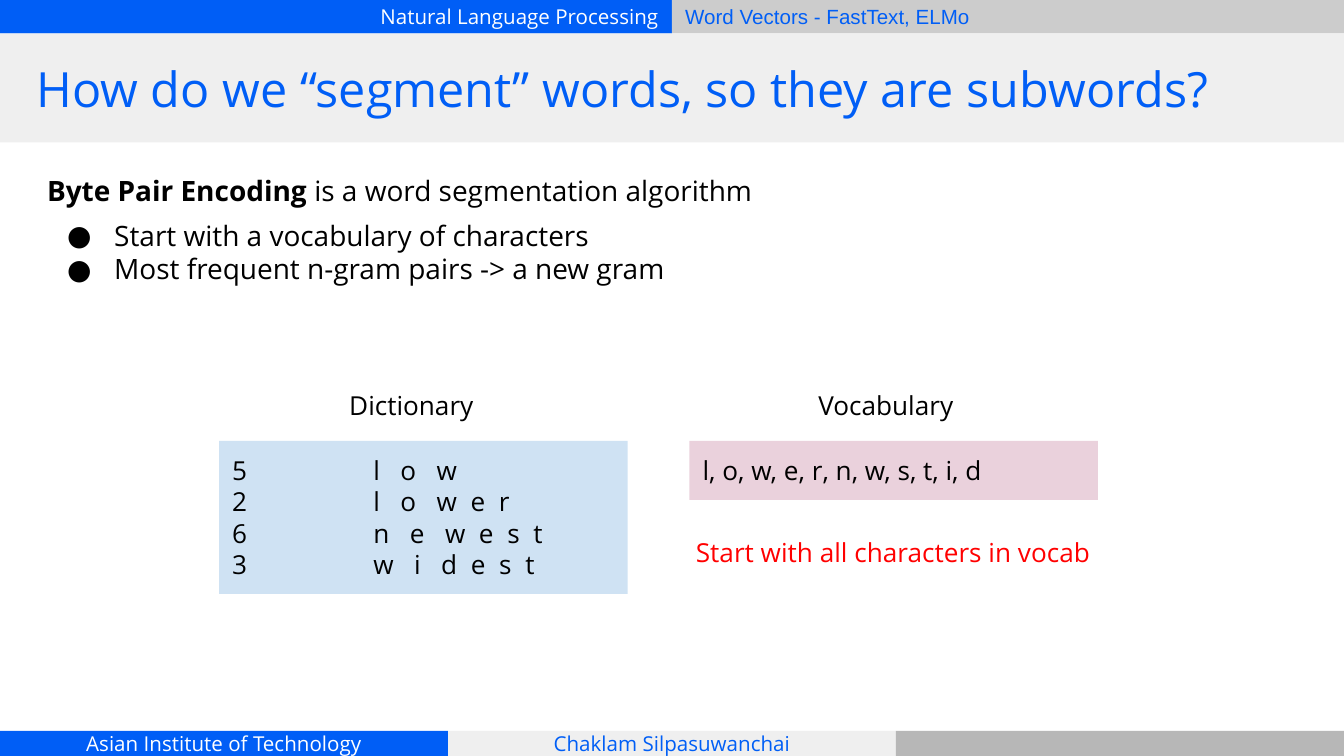
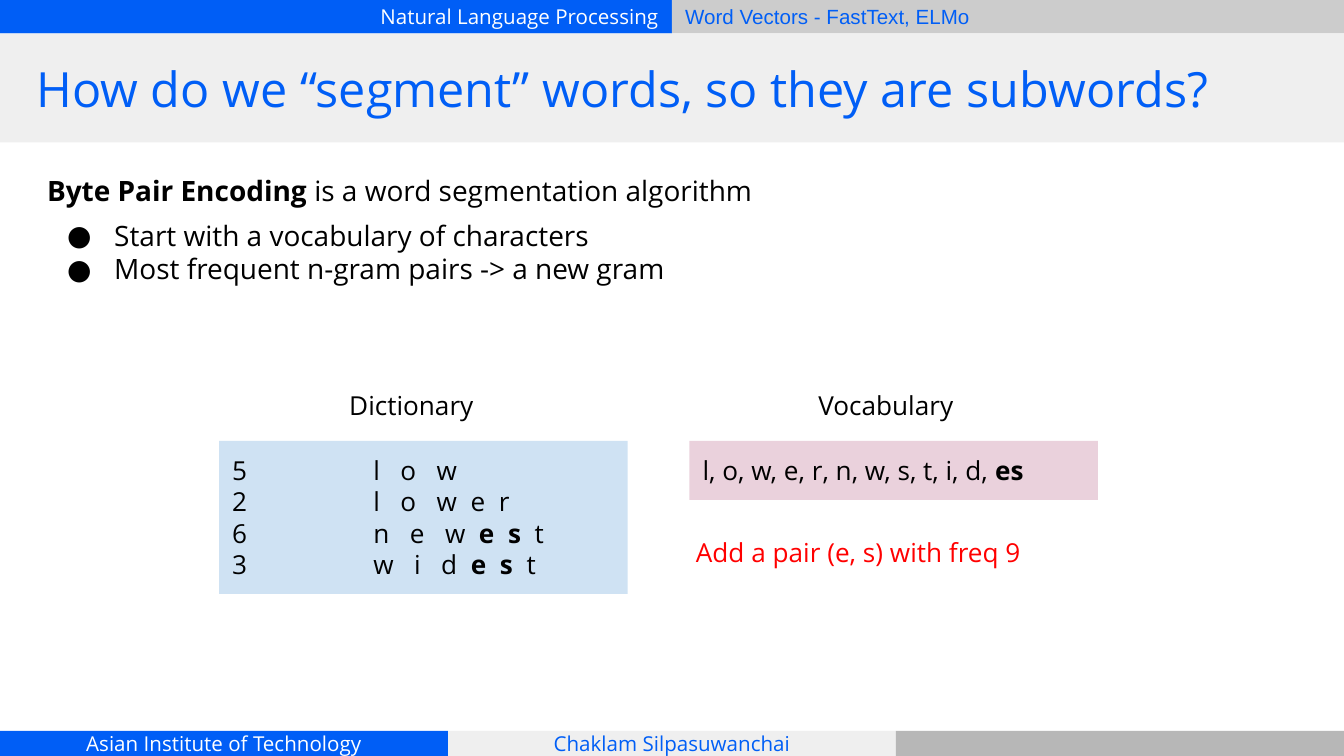
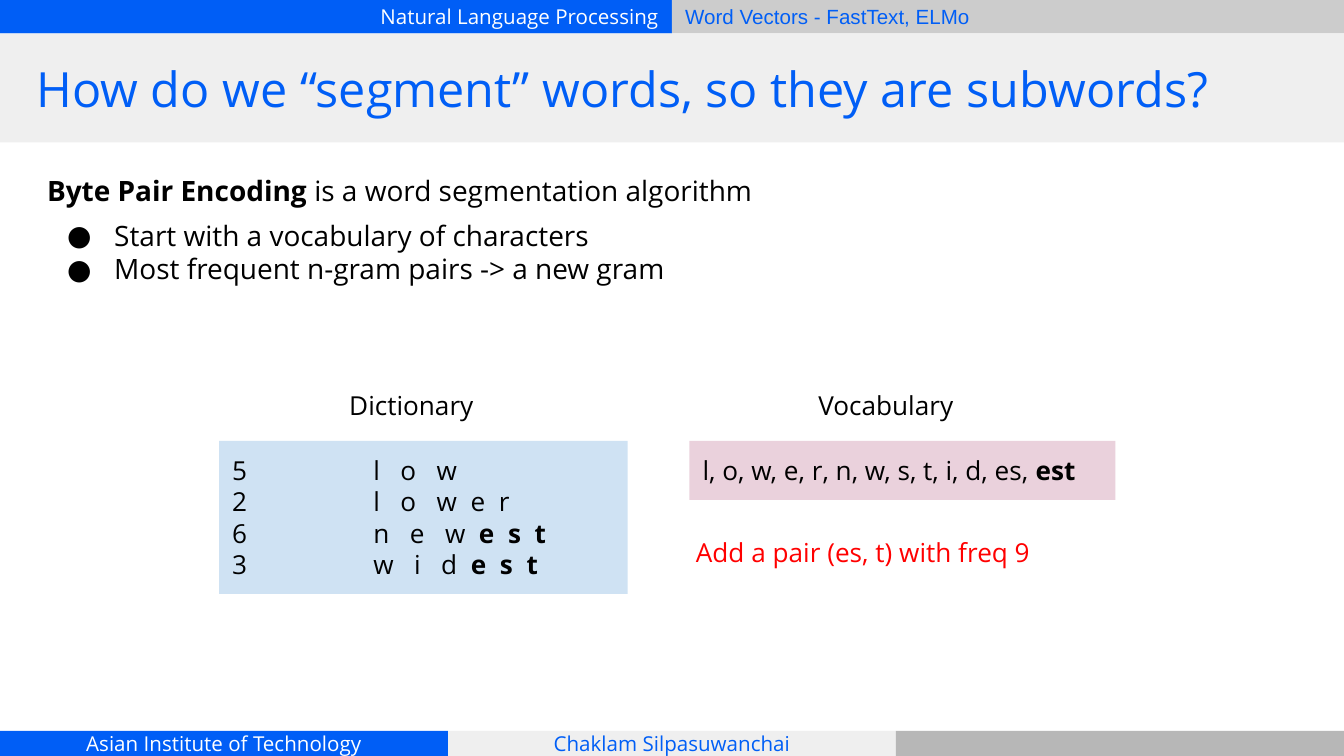
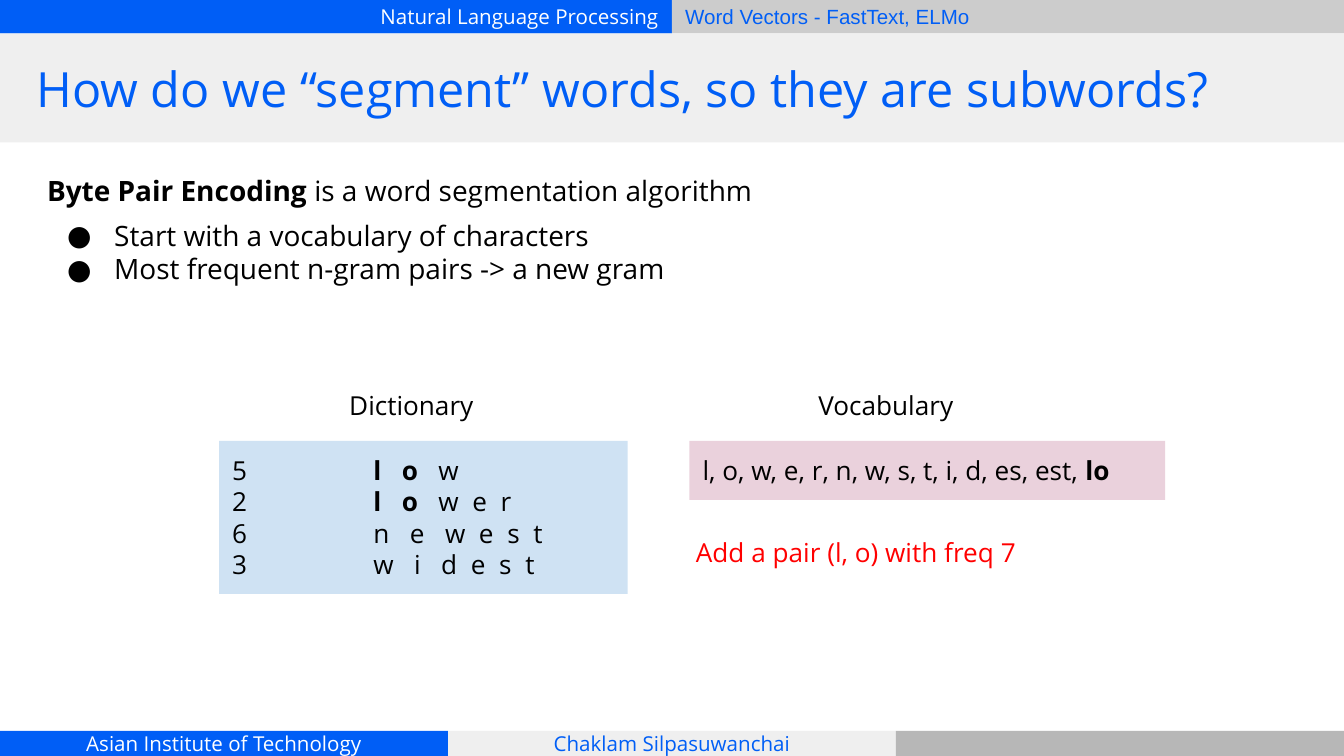
from lxml import etree
from pptx import Presentation
from pptx.dml.color import RGBColor
from pptx.enum.shapes import MSO_SHAPE
from pptx.enum.text import MSO_ANCHOR, MSO_AUTO_SIZE, PP_ALIGN
from pptx.oxml.ns import qn
from pptx.util import Inches, Pt

RECT = MSO_SHAPE.RECTANGLE
TOP, MID = MSO_ANCHOR.TOP, MSO_ANCHOR.MIDDLE
FIXED, GROW = MSO_AUTO_SIZE.NONE, MSO_AUTO_SIZE.SHAPE_TO_FIT_TEXT
LEFT, CENTER, RIGHT = PP_ALIGN.LEFT, PP_ALIGN.CENTER, PP_ALIGN.RIGHT

BLUE, WHITE, BLACK, RED = "005EF6", "FFFFFF", "000000", "FF0000"
PALE, SILVER, GRAY = "EFEFEF", "CCCCCC", "B7B7B7"
SKY, ROSE = "CFE2F3", "EAD1DC"
FONT = "Open Sans"
PAD = Inches(0.1)
HEAD, FOOT, THIRD = 4.44, 3.33, 100 / 3
LINE, BOX_TOP = 7.82, 58.31

TITLE = "How do we “segment” words, so they are subwords?"
POINTS = ["Start with a vocabulary of characters",
          "Most frequent n-gram pairs -> a new gram"]
COUNTS = {"low": 5, "lower": 2, "newest": 6, "widest": 3}
CHARS = list("lowernwstid")
STEPS = [
    ("", "Start with all characters in vocab", 30.4),
    ("es", "Add a pair (e, s) with freq 9", 30.4),
    ("est", "Add a pair (es, t) with freq 9", 31.7),
    ("lo", "Add a pair (l, o) with freq 7", 35.4),
]


def color(code):
    """Turn a hex string into a colour."""
    return RGBColor.from_string(code)


def child(node, tag, **attrs):
    """Append a drawing element with the given attributes."""
    return etree.SubElement(node, qn("a:" + tag), attrs)


def write(shape, *lines, size=14, ink=BLACK, font=FONT, align=LEFT,
          anchor=TOP, fit=FIXED):
    """Fill a shape with lines, each a string or a list of (text, bold, gap)."""
    frame = shape.text_frame
    frame.word_wrap, frame.auto_size = True, fit
    frame.vertical_anchor = anchor
    frame.margin_left = frame.margin_right = PAD
    frame.margin_top = frame.margin_bottom = PAD
    for n, line in enumerate(lines):
        para = frame.add_paragraph() if n else frame.paragraphs[0]
        para.alignment, para.space_before = align, Pt(0)
        parts = [(line, False, 0)] if isinstance(line, str) else line
        for text, bold, gap in parts:
            run = para.add_run()
            run.text = text
            run.font.name, run.font.size = font, Pt(size)
            run.font.bold = bold
            run.font.color.rgb = color(ink)
            if gap:
                run.font._element.set("spc", str(gap))
    return frame.paragraphs


def spell(count, word, pair):
    """Give the runs of a count and its spaced letters, with the pair bold."""
    start = word.find(pair) if pair else -1
    last = start + len(pair) - 1 if start >= 0 else -1
    runs = [(f"{count}\t", False, 0)]
    for n, char in enumerate(word):
        if n:
            runs.append((" ", start < n <= last, 728 if n < 3 else 364))
        runs.append((char, start <= n <= last, 0))
    return runs


class Deck:
    """Hold the style and the current slide; places are percents of the slide."""

    def __init__(self):
        """Start a wide deck and put the shared bands on its layout."""
        self.show = Presentation()
        self.show.slide_width = Inches(10)
        self.show.slide_height = Inches(5.625)
        self.plan = self.show.slide_layouts[1]
        for spot in list(self.plan.placeholders)[2:]:
            spot.element.getparent().remove(spot.element)
        self.slide = None

    def area(self, x, y, wide, high):
        """Turn percents into lengths."""
        full, tall = self.show.slide_width, self.show.slide_height
        return [round(part * side / 100) for part, side in
                ((x, full), (y, tall), (wide, full), (high, tall))]

    def page(self):
        """Add a slide, and draw the bands along with the first."""
        first = self.slide is None
        self.slide = self.show.slides.add_slide(self.plan)
        if first:
            self.bands()

    def block(self, fill, *place):
        """Add a plain filled rectangle."""
        shape = self.slide.shapes.add_shape(RECT, *self.area(*place))
        shape.shadow.inherit = False
        shape.fill.solid()
        shape.fill.fore_color.rgb = color(fill)
        shape.line.fill.background()
        return shape

    def label(self, text, *place, **style):
        """Add a text box."""
        box = self.slide.shapes.add_textbox(*self.area(*place))
        write(box, text, fit=GROW, **style)

    def bands(self):
        """Draw the header, footer and title bands and move them to the layout."""
        foot = 100 - FOOT
        rows = [
            (BLUE, 0, 0, 50, HEAD, "Natural Language Processing", WHITE, RIGHT, FONT),
            (SILVER, 50, 0, 50, HEAD, "Word Vectors - FastText, ELMo", BLUE, LEFT, "Arial"),
            (BLUE, 0, foot, THIRD, FOOT, "Asian Institute of Technology", WHITE, CENTER, FONT),
            (PALE, THIRD, foot, THIRD, FOOT, "Chaklam Silpasuwanchai", BLUE, CENTER, FONT),
            (GRAY, 2 * THIRD, foot, THIRD, FOOT, "", BLUE, CENTER, FONT),
            (PALE, 0, HEAD, 100, 14.4, "", BLUE, LEFT, FONT),
        ]
        for n, (fill, x, y, wide, high, text, ink, align, font) in enumerate(rows):
            band = self.block(fill, x, y, wide, high)
            if text:
                write(band, text, size=11, ink=ink, font=font, align=align, anchor=MID)
            self.plan.shapes.element.insert(2 + n, band.element)

    def place(self, spot, *place):
        """Move a placeholder."""
        spot.left, spot.top, spot.width, spot.height = self.area(*place)
        return spot

    def title(self, text):
        """Fill the title placeholder."""
        spot = self.place(self.slide.shapes.title, 1.7, HEAD, 96.7, 14.4)
        write(spot, text, size=26, ink=BLUE, anchor=MID)

    def body(self, lead, points):
        """Fill the body placeholder with a lead line and bullets."""
        spot = self.place(self.slide.placeholders[1], 2.5, 21.16, 95.8, 12.09)
        paras = write(spot, lead, *points, size=15)
        paras[1].space_before = Pt(6)
        for n, para in enumerate(paras):
            props = para._p.get_or_add_pPr()
            props.set("marL", str(Inches(0.5) if n else 0))
            props.set("indent", str(-Inches(0.35) if n else 0))
            if n:
                child(child(props, "buClr"), "srgbClr", val=BLACK)
                child(props, "buFont", typeface=FONT)
                child(props, "buChar", char="●")
            else:
                child(props, "buNone")

    def words(self, pair):
        """Draw the dictionary box with the pair in bold."""
        box = self.block(SKY, 16.3, BOX_TOP, 30.4, 20.27)
        lines = [spell(count, word, pair) for word, count in COUNTS.items()]
        for para in write(box, *lines, fit=GROW):
            tabs = child(para._p.get_or_add_pPr(), "tabLst")
            child(tabs, "tab", pos=str(Inches(1.05)), algn="l")

    def vocab(self, grams, pair, wide):
        """Draw the vocabulary box, with the newest gram in bold."""
        box = self.block(ROSE, 51.3, BOX_TOP, wide, LINE)
        line = [(", ".join(grams), False, 0)]
        if pair:
            line = [(", ".join(grams) + ", ", False, 0), (pair, True, 0)]
        write(box, line, fit=GROW)


def main():
    """Build one slide for each merge step."""
    deck = Deck()
    grams = list(CHARS)
    lead = [("Byte Pair Encoding", True, 0),
            (" is a word segmentation algorithm", False, 0)]
    for pair, hint, wide in STEPS:
        deck.page()
        deck.title(TITLE)
        deck.body(lead, POINTS)
        deck.words(pair)
        for name, x in (("Dictionary", 25), ("Vocabulary", 59.9)):
            deck.label(name, x, 49.78, 12.7, LINE)
        deck.vocab(grams, pair, wide)
        deck.label(hint, 50.8, 69.16, 31.7, LINE, ink=RED)
        if pair:
            grams.append(pair)
    deck.show.save("out.pptx")


if __name__ == "__main__":
    main()
